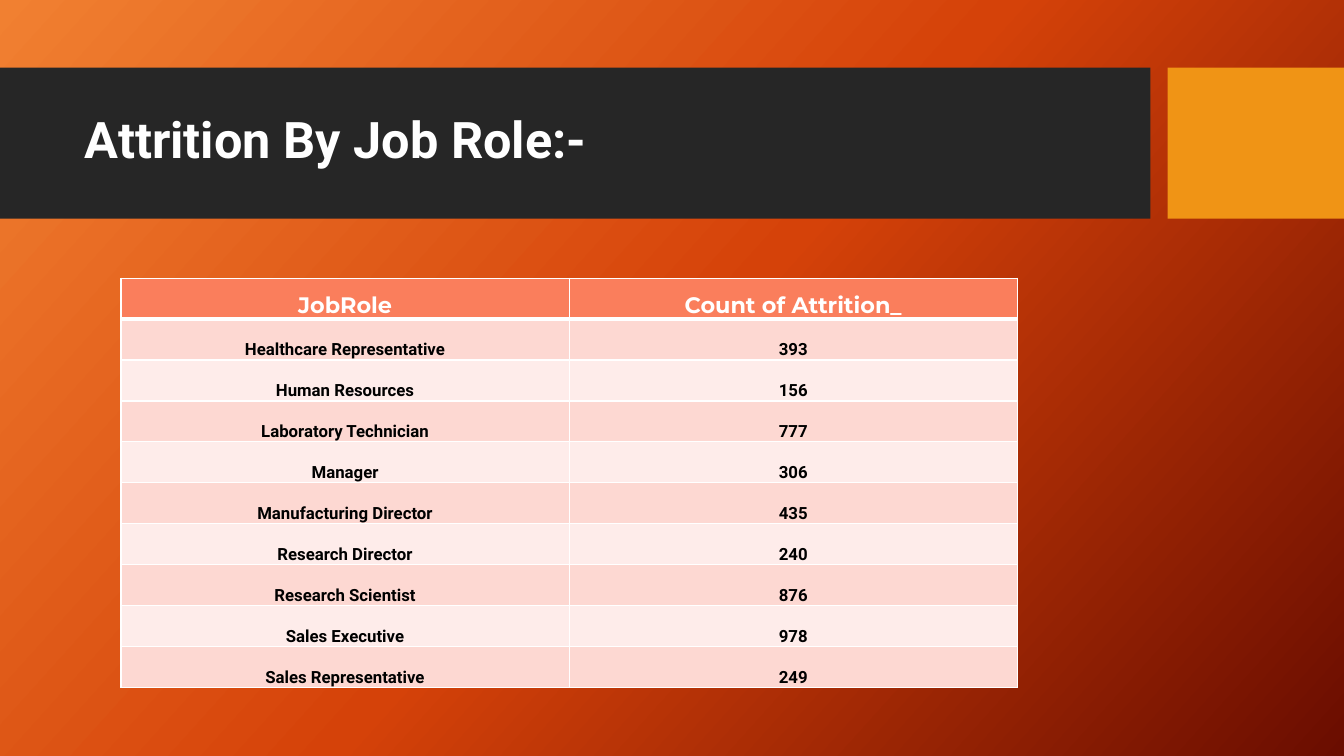
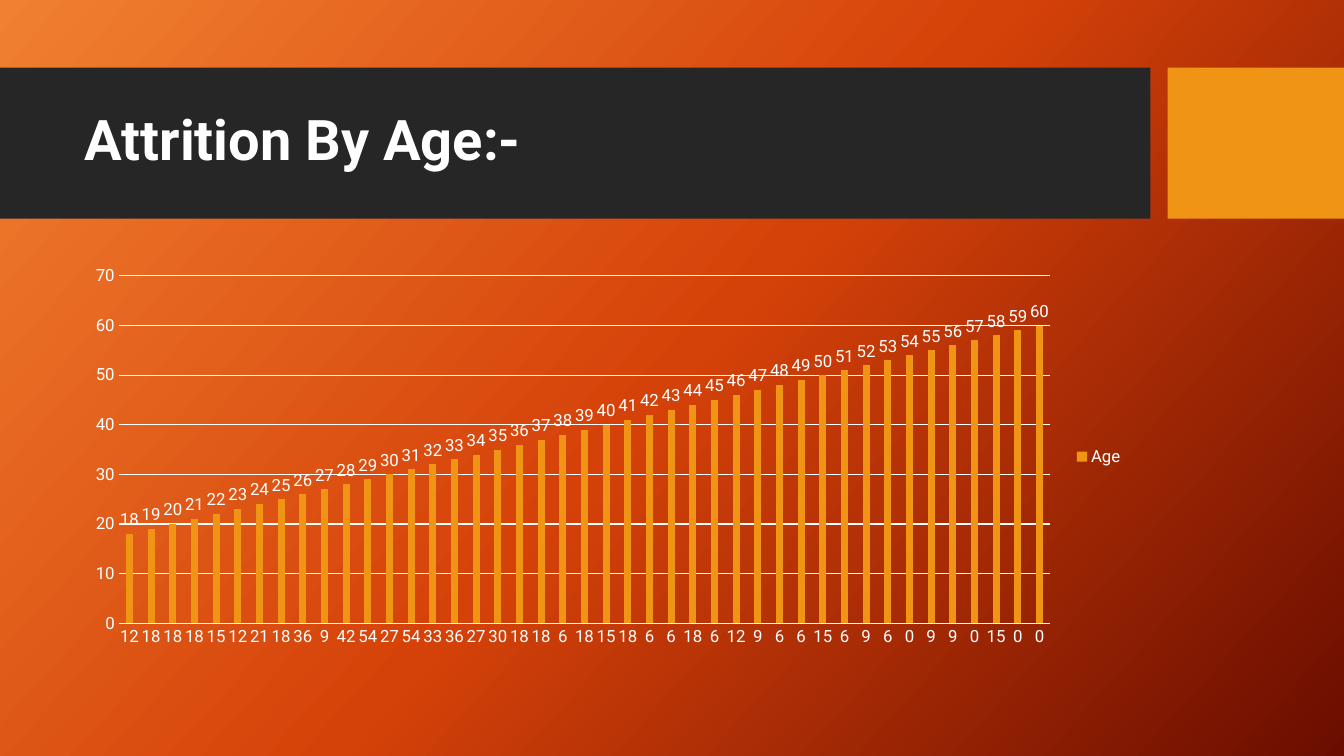
from dataclasses import dataclass

from lxml.etree import SubElement
from pptx import Presentation
from pptx.chart.data import CategoryChartData
from pptx.dml.color import RGBColor
from pptx.enum.chart import XL_CHART_TYPE, XL_LABEL_POSITION, XL_LEGEND_POSITION, XL_TICK_MARK
from pptx.enum.shapes import MSO_SHAPE
from pptx.enum.text import MSO_ANCHOR, MSO_AUTO_SIZE, PP_ALIGN
from pptx.oxml.ns import qn
from pptx.slide import Slide, SlideLayout
from pptx.table import _Cell
from pptx.text.text import Font
from pptx.util import Inches, Pt

COLORS = {
    "glow": "F18031",
    "flame": "D54209",
    "ember": "6A0D00",
    "band": "262626",
    "accent": "F09415",
    "header": "FA7E5C",
    "odd_row": "FDD8D2",
    "even_row": "FEECEA",
    "white": "FFFFFF",
    "black": "000000",
}
BODY_FONT = "Roboto"
HEADER_FONT = "Montserrat"
BACKGROUND_STOPS = ((0, "glow"), (50, "flame"), (100, "ember"))
BACKGROUND_ANGLE = 42


@dataclass(frozen=True)
class Band:
    left: float
    width: float
    color: str


@dataclass(frozen=True)
class CellStyle:
    fill: str
    font: str
    size: int
    color: str
    top_line: int = 1
    bottom_line: int = 1


BAND_TOP, BAND_HEIGHT = 0.67, 1.5
BANDS = (Band(0, 11.41, "band"), Band(11.58, 1.75, "accent"))

HEADER_STYLE = CellStyle("header", HEADER_FONT, 16, "white", bottom_line=3)
FIRST_ROW_STYLE = CellStyle("odd_row", BODY_FONT, 12, "black", top_line=3)
ODD_STYLE = CellStyle("odd_row", BODY_FONT, 12, "black")
EVEN_STYLE = CellStyle("even_row", BODY_FONT, 12, "black")

JOB_ROLES = (
    ("JobRole", "Count of Attrition_"),
    ("Healthcare Representative", "393"),
    ("Human Resources", "156"),
    ("Laboratory Technician", "777"),
    ("Manager", "306"),
    ("Manufacturing Director", "435"),
    ("Research Director", "240"),
    ("Research Scientist", "876"),
    ("Sales Executive", "978"),
    ("Sales Representative", "249"),
)

AGES = range(18, 61)
ATTRITION_COUNTS = (
    12, 18, 18, 18, 15, 12, 21, 18, 36, 9, 42, 54, 27, 54, 33, 36, 27, 30, 18, 18, 6, 18,
    15, 18, 6, 6, 18, 6, 12, 9, 6, 6, 15, 6, 9, 6, 0, 9, 9, 0, 15, 0, 0,
)


def rgb(name: str) -> RGBColor:
    return RGBColor.from_string(COLORS[name])


def style_font(font: Font, size: int, color: str, name: str = BODY_FONT, bold: bool = False) -> None:
    font.name = name
    font.size = Pt(size)
    font.bold = bold
    font.color.rgb = rgb(color)


def paint_background(layout: SlideLayout) -> None:
    fill = layout.background.fill
    fill.gradient()
    fill.gradient_angle = 360 - BACKGROUND_ANGLE
    stops = next(layout.element.iter(qn("a:gsLst")))
    for stop in list(stops):
        stops.remove(stop)
    for percent, color in BACKGROUND_STOPS:
        stop = SubElement(stops, qn("a:gs"), pos=str(percent * 1000))
        SubElement(stop, qn("a:srgbClr"), val=COLORS[color])


def move_bands_to_layout(page: Slide, layout: SlideLayout) -> None:
    """Draw the title bands on a page, then move them behind the layout's placeholders."""
    tree = layout.shapes.element
    for index, band in enumerate(BANDS):
        box = page.shapes.add_shape(
            MSO_SHAPE.RECTANGLE, Inches(band.left), Inches(BAND_TOP),
            Inches(band.width), Inches(BAND_HEIGHT),
        )
        box.name = f"Title band {index + 1}"
        box.shadow.inherit = False
        box.fill.solid()
        box.fill.fore_color.rgb = rgb(band.color)
        box.line.fill.background()
        box.element.nvSpPr.cNvPr.set("id", str(100 + index))
        tree.insert(2 + index, box.element)


def place_layout_title(layout: SlideLayout) -> None:
    title = layout.placeholders[0]
    title.left, title.top = Inches(0.74), Inches(0.82)
    title.width, title.height = Inches(10.51), Inches(1.18)


def write_title(page: Slide, text: str, size: int) -> None:
    frame = page.shapes.title.text_frame
    frame.word_wrap = True
    frame.auto_size = MSO_AUTO_SIZE.NONE
    frame.vertical_anchor = MSO_ANCHOR.MIDDLE
    para = frame.paragraphs[0]
    para.alignment = PP_ALIGN.LEFT
    para.line_spacing = 0.9
    span = para.add_run()
    span.text = text
    style_font(span.font, size, "white", bold=True)


def write_cell(cell: _Cell, text: str, style: CellStyle) -> None:
    cell.margin_left = cell.margin_right = cell.margin_top = Inches(0.01)
    cell.margin_bottom = 0
    cell.vertical_anchor = MSO_ANCHOR.BOTTOM
    properties = cell._tc.get_or_add_tcPr()
    sides = (("lnL", 1), ("lnR", 1), ("lnT", style.top_line), ("lnB", style.bottom_line))
    for side, points in sides:
        line = SubElement(properties, qn(f"a:{side}"), w=str(Pt(points)))
        solid = SubElement(line, qn("a:solidFill"))
        SubElement(solid, qn("a:srgbClr"), val=COLORS["white"])
    cell.fill.solid()
    cell.fill.fore_color.rgb = rgb(style.fill)
    para = cell.text_frame.paragraphs[0]
    para.alignment = PP_ALIGN.CENTER
    span = para.add_run()
    span.text = text
    style_font(span.font, style.size, style.color, style.font, bold=True)


def row_style(row: int) -> CellStyle:
    if row < 2:
        return (HEADER_STYLE, FIRST_ROW_STYLE)[row]
    return ODD_STYLE if row % 2 else EVEN_STYLE


def add_role_table(page: Slide) -> None:
    table = page.shapes.add_table(
        len(JOB_ROLES), len(JOB_ROLES[0]), Inches(1.2), Inches(2.76), Inches(8.89), Inches(4.06)
    ).table
    for row, texts in enumerate(JOB_ROLES):
        for column, text in enumerate(texts):
            write_cell(table.cell(row, column), text, row_style(row))


def add_age_chart(page: Slide) -> None:
    data = CategoryChartData()
    data.categories = [str(count) for count in ATTRITION_COUNTS]
    data.add_series("Age", AGES)
    chart = page.shapes.add_chart(
        XL_CHART_TYPE.COLUMN_CLUSTERED, Inches(0.74), Inches(2.56), Inches(10.51), Inches(3.94), data
    ).chart
    style_font(chart.font, 10, "white")
    chart.has_title = False
    chart.has_legend = True
    chart.legend.position = XL_LEGEND_POSITION.RIGHT
    chart.legend.include_in_layout = False
    style_font(chart.legend.font, 12, "white")

    for axis in (chart.category_axis, chart.value_axis):
        axis.major_tick_mark = axis.minor_tick_mark = XL_TICK_MARK.NONE
        style_font(axis.tick_labels.font, 12, "white")
    values = chart.value_axis
    values.minimum_scale, values.maximum_scale, values.major_unit = 0, 70, 10
    values.format.line.fill.background()
    for line in (chart.category_axis.format.line, values.major_gridlines.format.line):
        line.color.rgb = rgb("white")
        line.width = Pt(0.75)

    plot = chart.plots[0]
    plot.vary_by_categories = False
    plot.gap_width, plot.overlap = 219, -27
    series = plot.series[0]
    series.format.fill.solid()
    series.format.fill.fore_color.rgb = rgb("accent")
    labels = series.data_labels
    labels.show_value = True
    labels.position = XL_LABEL_POSITION.OUTSIDE_END
    style_font(labels.font, 12, "white")


def main() -> None:
    deck = Presentation()
    deck.slide_width, deck.slide_height = Inches(13.33), Inches(7.5)
    layout = deck.slide_layouts.get_by_name("Title Only")
    paint_background(layout)
    place_layout_title(layout)

    role_page = deck.slides.add_slide(layout)
    move_bands_to_layout(role_page, layout)
    write_title(role_page, "Attrition By Job Role:-", 36)
    add_role_table(role_page)

    age_page = deck.slides.add_slide(layout)
    write_title(age_page, "Attrition By Age:-", 40)
    add_age_chart(age_page)

    deck.save("out.pptx")


if __name__ == "__main__":
    main()
